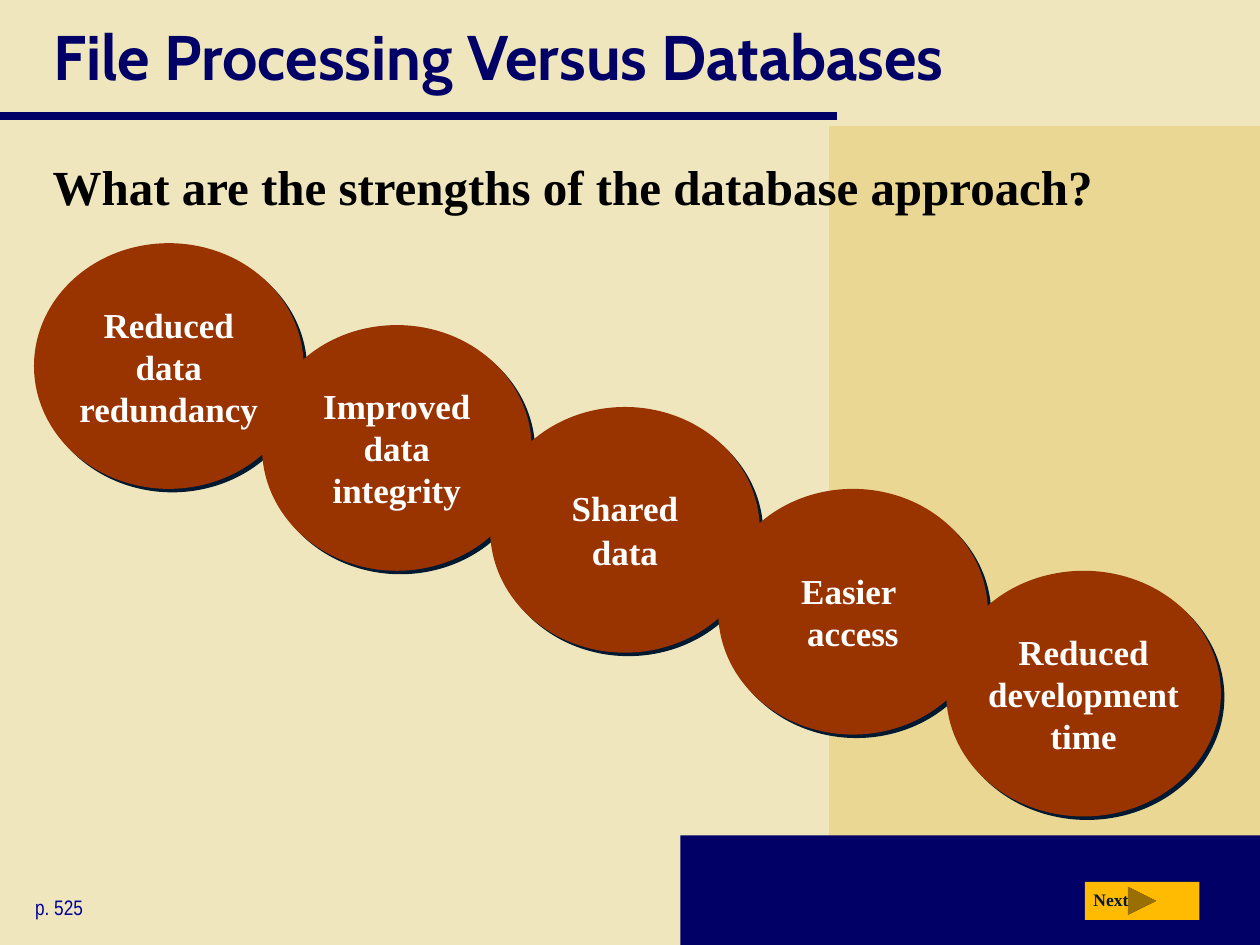
from lxml import etree
from pptx import Presentation
from pptx import util as u
from pptx.dml.color import RGBColor
from pptx.enum import shapes, text
from pptx.oxml import ns

WIDTH, HEIGHT = 10, 7.5
NAVY, RUST, INK = "000066", "993300", "001932"
SERIF = "Times New Roman"
SHAPE = shapes.MSO_SHAPE
ANCHOR = text.MSO_ANCHOR


def rgb(value):
    return RGBColor.from_string(value)


def inches(*lengths):
    return [u.Inches(length) for length in lengths]


def add_effects(item):
    return etree.SubElement(item._element.spPr, ns.qn("a:effectLst"))


def cast_shadow(item, color, distance, angle):
    item.shadow.inherit = False
    effects = item._element.spPr.find(ns.qn("a:effectLst"))
    outer = etree.SubElement(effects, ns.qn("a:outerShdw"), blurRad="0",
                             dist=str(u.Pt(distance)), dir=str(angle * 60000),
                             algn="ctr", rotWithShape="0")
    etree.SubElement(outer, ns.qn("a:srgbClr"), val=color)


def add_filled(parent, kind, box, color):
    item = parent.add_shape(kind, *inches(*box))
    item.shadow.inherit = False
    item.fill.solid()
    item.fill.fore_color.rgb = rgb(color)
    item.line.fill.background()
    return item


def write(frame, lines, size, color, font=SERIF, bold=True, align=None,
          anchor=ANCHOR.TOP, before=0):
    """Fill a text frame; before is the space above as a share of the size."""
    frame.word_wrap = True
    frame.vertical_anchor = anchor
    frame.text = "\n".join(lines)
    for paragraph in frame.paragraphs:
        paragraph.alignment = align
        paragraph.space_before = u.Pt(size * before)
        paragraph.font.name = font
        paragraph.font.size = u.Pt(size)
        paragraph.font.bold = bold
        paragraph.font.color.rgb = rgb(color)


def add_label(parent, box, label, size, color, **style):
    frame = parent.add_textbox(*inches(*box)).text_frame
    write(frame, [label], size, color, **style)


def add_backdrop(slide):
    slide.background.fill.solid()
    slide.background.fill.fore_color.rgb = rgb("F0E6BE")
    for left, top, color in ((6.58, 1, "E9D793"), (5.4, 6.63, NAVY)):
        add_filled(slide.shapes, SHAPE.RECTANGLE,
                   (left, top, WIDTH - left, HEIGHT - top), color)
    rule = slide.shapes.add_connector(shapes.MSO_CONNECTOR.STRAIGHT,
                                      *inches(0, 0.92, 6.64, 0.92))
    rule.line.color.rgb = rgb(NAVY)
    rule.line.width = u.Pt(5)
    add_effects(rule)


def add_headings(slide):
    add_label(slide.shapes, (0.33, 0, 9.39, 0.88),
              "File Processing Versus Databases", 36, NAVY,
              font="Cabin", anchor=ANCHOR.MIDDLE)
    add_label(slide.shapes, (0.32, 1.19, 9.39, 0.7),
              "What are the strengths of the database approach?",
              28, "000000", before=0.2)


def add_strengths(slide, left, top, step_x, step_y):
    """Chain of overlapping ellipses descending to the right."""
    strengths = [
        (["Reduced data redundancy"], 2.14),
        (["Improved data integrity"], 2.14),
        (["Shared", "data"], 2.14),
        (["Easier \vaccess"], 2.14),
        (["Reduced development time"], 2.18),
    ]
    for i, (lines, width) in enumerate(strengths):
        box = (left + i * step_x, top + i * step_y, width, 1.95)
        ellipse = add_filled(slide.shapes, SHAPE.OVAL, box, RUST)
        cast_shadow(ellipse, INK, distance=2.8, angle=45)
        frame = ellipse.text_frame
        frame.margin_left = frame.margin_right = 0
        frame.margin_top = frame.margin_bottom = 0
        write(frame, lines, 20, "FFFFFF", align=text.PP_ALIGN.CENTER,
              anchor=ANCHOR.MIDDLE, before=0.05)


def add_next_button(slide, left, top):
    button = slide.shapes.add_group_shape().shapes
    add_filled(button, SHAPE.ACTION_BUTTON_FORWARD_OR_NEXT,
               (left, top, 0.91, 0.3), "FFBA02")
    add_label(button, (left - 0.03, top + 0.01, 0.51, 0.27),
              "Next", 10, INK, before=0.5)


def main():
    deck = Presentation()
    deck.slide_width, deck.slide_height = inches(WIDTH, HEIGHT)
    slide = deck.slides.add_slide(deck.slide_layouts[6])
    add_backdrop(slide)
    add_headings(slide)
    add_label(slide.shapes, (0.18, 7.05, 1.69, 0.3), "p. 525", 12, "000099",
              font="Arial Narrow", bold=False, before=0.5)
    add_next_button(slide, 8.61, 7)
    add_strengths(slide, 0.27, 1.93, 1.81, 0.65)
    deck.save("out.pptx")


if __name__ == "__main__":
    main()
